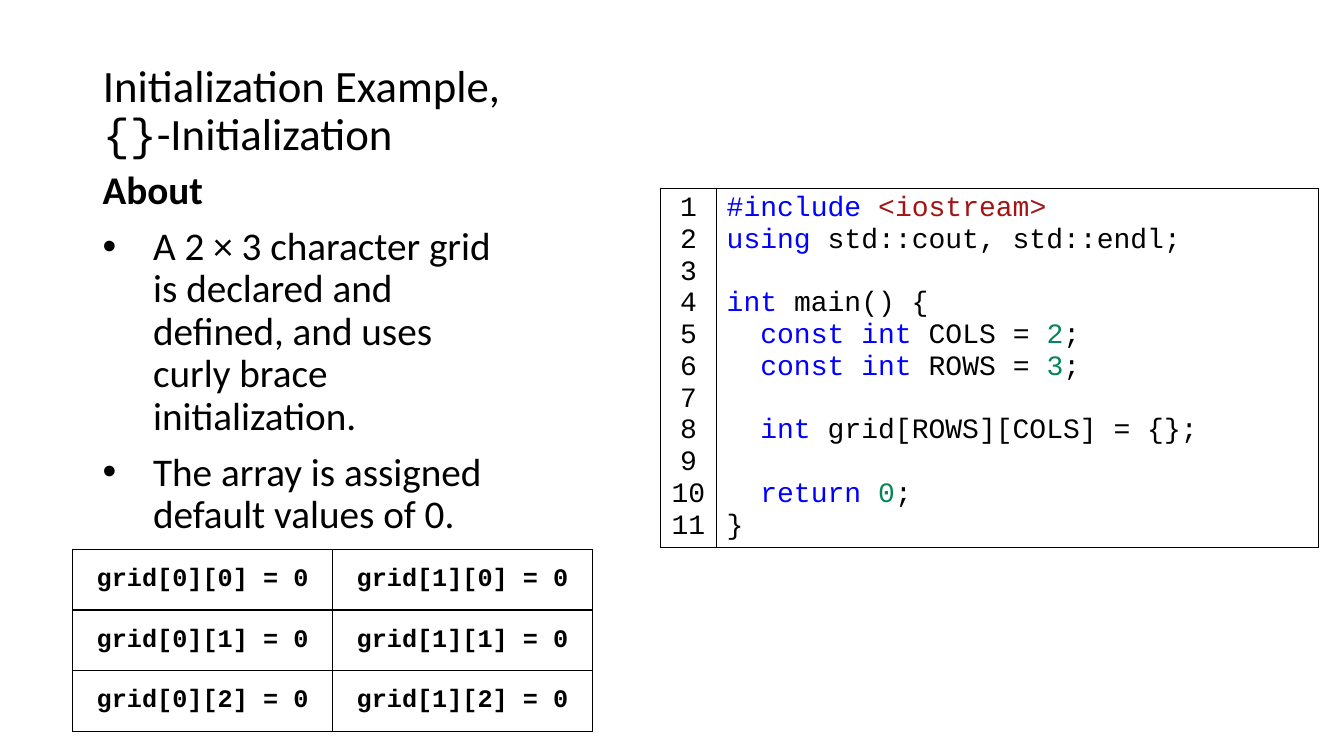
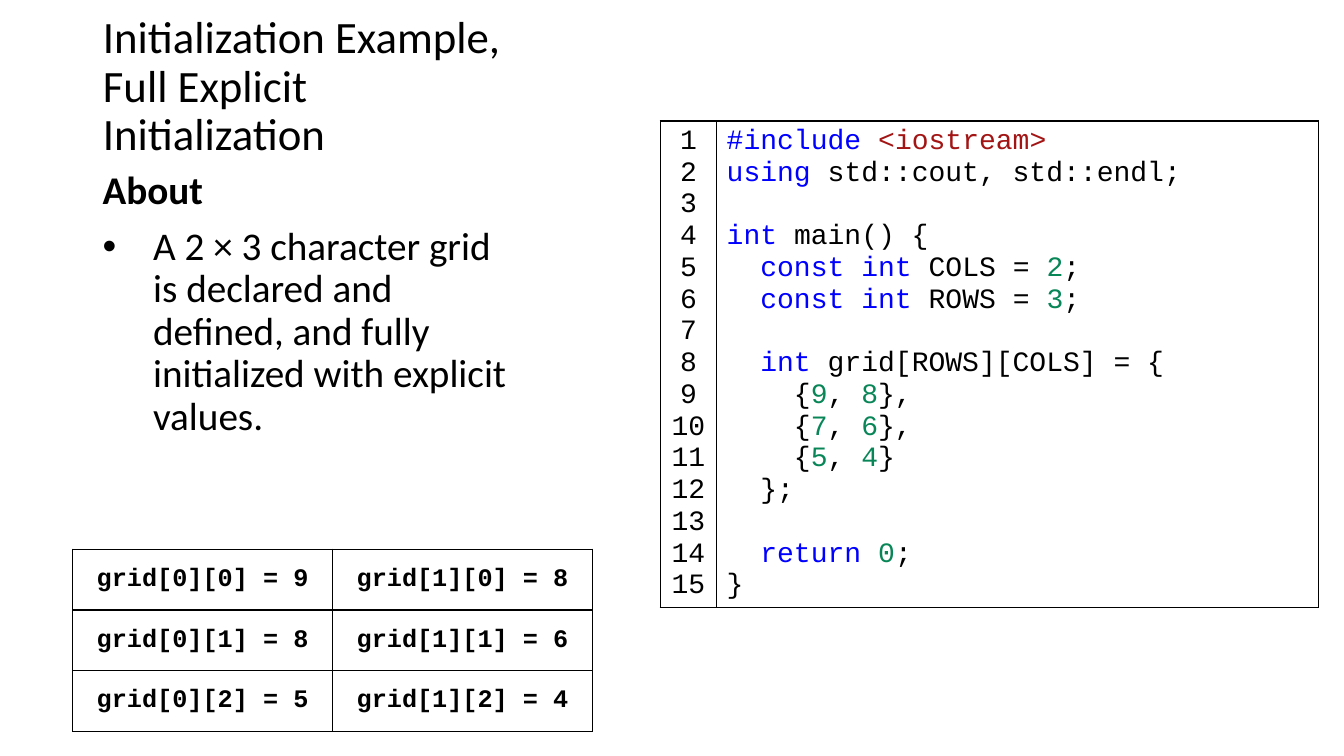
from dataclasses import dataclass
from itertools import groupby

from lxml import etree
from pptx import Presentation
from pptx.dml.color import RGBColor
from pptx.enum import text as txt
from pptx.oxml import ns
from pptx.util import Cm, Pt


@dataclass(frozen=True)
class Theme:
    ink: str = "000000"
    paper: str = "FFFFFF"
    keyword: str = "0000FF"
    header: str = "A31515"
    number: str = "098658"
    prose_font: str = "Calibri"
    code_font: str = "Courier New"
    title_size: int = 32
    body_size: int = 28
    code_size: int = 20
    grid_size: int = 18


THEME = Theme()
KEYWORDS = {"#include", "using", "int", "const", "return"}
SLIDE_W, SLIDE_H = Cm(33.87), Cm(19.05)

# Regions as left, top, width, height
TITLE_BOX = Cm(2.34), Cm(0), Cm(10.92), Cm(4.17)
ABOUT_BOX = Cm(2.34), Cm(4.17), Cm(10.92), Cm(10.13)
GRID_BOX = Cm(1.83), Cm(13.84), Cm(13.1), Cm(4.59)
CODE_LEFT, CODE_WIDTH, NUMBER_WIDTH = Cm(16.64), Cm(16.58), Cm(1.42)

PROGRAM = """#include <iostream>
using std::cout, std::endl;

int main() {
  const int COLS = 2;
  const int ROWS = 3;

  int grid[ROWS][COLS] = %s;

  return 0;
}"""


def style(paragraph, font, size, bold=False):
    paragraph.font.name = font
    paragraph.font.size = Pt(size)
    paragraph.font.bold = bold
    paragraph.font.color.rgb = RGBColor.from_string(THEME.ink)


def add_bullet(paragraph, indent):
    props = paragraph._p.get_or_add_pPr()
    props.set("marL", str(indent))
    props.set("indent", str(-indent))
    etree.SubElement(props, ns.qn("a:buFont"), typeface="Arial")
    etree.SubElement(props, ns.qn("a:buChar"), char="•")


def outline(cell):
    """White cell with a thin border on every side."""
    cell.fill.solid()
    cell.fill.fore_color.rgb = RGBColor.from_string(THEME.paper)
    props = cell._tc.get_or_add_tcPr()
    for place, side in enumerate(("lnL", "lnR", "lnT", "lnB")):
        line = etree.Element(ns.qn("a:" + side), w=str(Pt(1)))
        fill = etree.SubElement(line, ns.qn("a:solidFill"))
        etree.SubElement(fill, ns.qn("a:srgbClr"), val=THEME.ink)
        props.insert(place, line)


def add_plain_table(slide, rows, cols, box):
    frame = slide.shapes.add_table(rows, cols, *box)
    frame.table.first_row = frame.table.horz_banding = False
    for cell in frame.table.iter_cells():
        outline(cell)
    return frame


def token_colour(token):
    if token in KEYWORDS:
        return THEME.keyword
    if token.startswith("<"):
        return THEME.header
    return THEME.number if token.isdigit() else THEME.ink


def coloured_runs(line):
    """Split a line of code into (colour, text) stretches."""
    tokens = ["".join(chars) for _, chars in
              groupby(line, lambda c: c.isalnum() or c in "#<>")]
    for colour, stretch in groupby(tokens, token_colour):
        yield colour, "".join(stretch).replace(" ", "\u00a0")


def place_title(slide, box, title):
    """Backticks in the title enclose code."""
    holder = slide.shapes.title
    holder.left, holder.top, holder.width, holder.height = box
    frame = holder.text_frame
    frame.word_wrap = True
    frame.auto_size = txt.MSO_AUTO_SIZE.NONE
    frame.vertical_anchor = txt.MSO_ANCHOR.BOTTOM
    heading = frame.paragraphs[0]
    heading.alignment = txt.PP_ALIGN.LEFT
    heading.line_spacing = 0.9
    style(heading, THEME.prose_font, THEME.title_size)
    for order, piece in enumerate(title.split("`")):
        for row, words in enumerate(piece.split("\n")):
            if row:
                heading.add_line_break()
            if words:
                run = heading.add_run()
                run.text = words
                run.font.name = THEME.code_font if order % 2 else THEME.prose_font


def place_about(slide, box, points):
    frame = slide.shapes.add_textbox(*box).text_frame
    frame.word_wrap = True
    for order, words in enumerate(["About", *points]):
        point = frame.add_paragraph() if order else frame.paragraphs[0]
        point.text = words
        point.line_spacing = 0.9
        point.space_before = Pt(10)
        if order:
            add_bullet(point, Cm(1.27))
        style(point, THEME.prose_font, THEME.body_size, bold=not order)


def place_code(slide, left, width, code):
    """Numbered listing, centred on the slide's height."""
    count = code.count("\n") + 1
    height = int(Pt(THEME.code_size * 1.2) * count + Cm(0.25))
    box = left, (SLIDE_H - height) // 2, width, height
    listing = add_plain_table(slide, 1, 2, box)
    table = listing.table
    table.columns[0].width = NUMBER_WIDTH
    table.columns[1].width = width - NUMBER_WIDTH
    table.rows[0].height = Cm(1.04)
    listing.height = height

    # Line numbers
    numbers = table.cell(0, 0).text_frame
    numbers.text = "\n".join(str(n + 1) for n in range(count))
    for number in numbers.paragraphs:
        number.alignment = txt.PP_ALIGN.CENTER
        style(number, THEME.code_font, THEME.code_size)

    # Code, where an empty line is a break before the next statement
    source = table.cell(0, 1).text_frame
    for order, line in enumerate(code.replace("\n\n", "\n\v").split("\n")):
        statement = source.add_paragraph() if order else source.paragraphs[0]
        style(statement, THEME.code_font, THEME.code_size)
        if line.startswith("\v"):
            statement.add_line_break()
        for colour, words in coloured_runs(line.lstrip("\v")):
            run = statement.add_run()
            run.text = words
            run.font.color.rgb = RGBColor.from_string(colour)


def place_grid(slide, box, values):
    table = add_plain_table(slide, len(values), len(values[0]), box).table
    for y, row in enumerate(values):
        for x, value in enumerate(row):
            cell = table.cell(y, x)
            cell.vertical_anchor = txt.MSO_ANCHOR.MIDDLE
            cell.text = f"grid[{x}][{y}] = {value}"
            entry = cell.text_frame.paragraphs[0]
            entry.alignment = txt.PP_ALIGN.CENTER
            style(entry, THEME.code_font, THEME.grid_size, bold=True)


def add_example(deck, title, points, initializer, values):
    slide = deck.slides.add_slide(deck.slide_layouts[5])
    place_code(slide, CODE_LEFT, CODE_WIDTH, PROGRAM % initializer)
    place_title(slide, TITLE_BOX, title)
    place_about(slide, ABOUT_BOX, points)
    place_grid(slide, GRID_BOX, values)


deck = Presentation()
deck.slide_width, deck.slide_height = SLIDE_W, SLIDE_H

add_example(
    deck,
    "Initialization Example,\n`{}`-Initialization",
    ["A 2 × 3 character grid is declared and defined, and uses curly brace initialization.",
     "The array is assigned default values of 0."],
    "{}",
    [(0, 0), (0, 0), (0, 0)],
)
add_example(
    deck,
    "Initialization Example, Full Explicit Initialization",
    ["A 2 × 3 character grid is declared and defined, and fully initialized with explicit values."],
    "{\n    {9, 8},\n    {7, 6},\n    {5, 4}\n  }",
    [(9, 8), (8, 6), (5, 4)],
)

deck.save("out.pptx")
